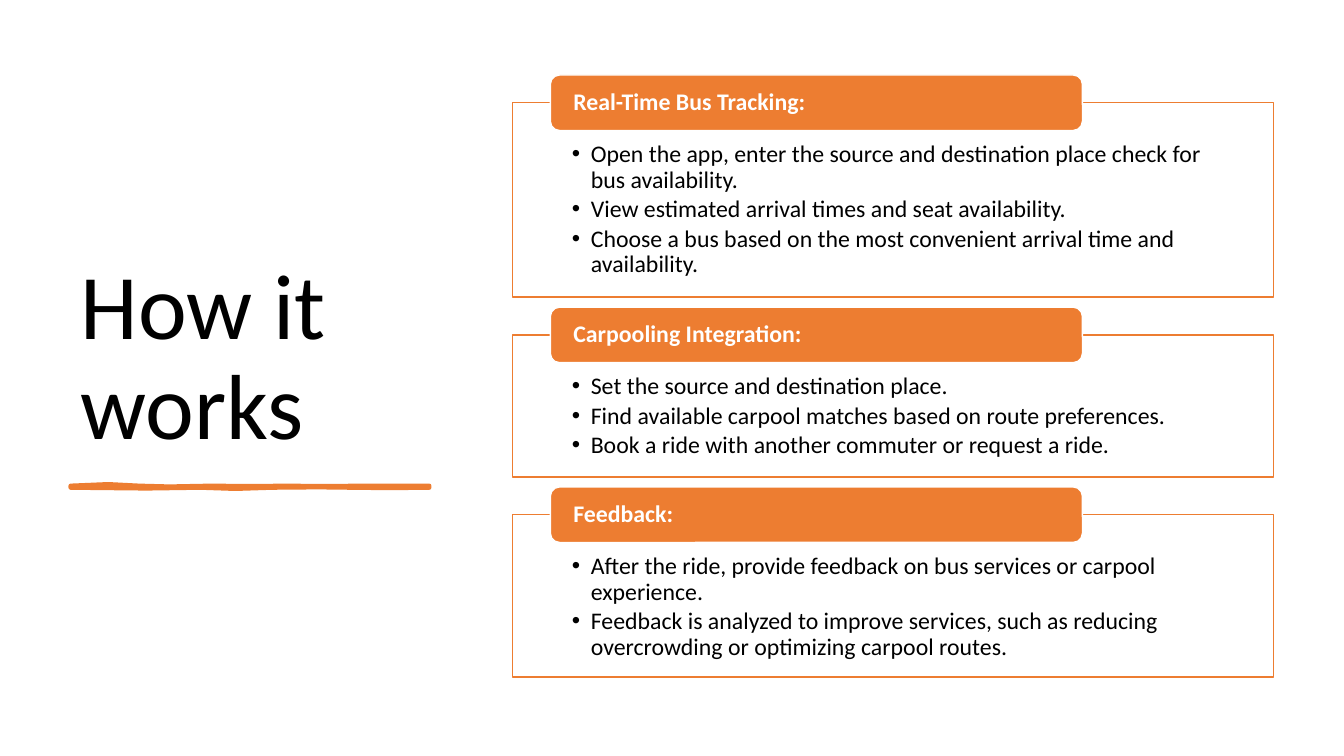
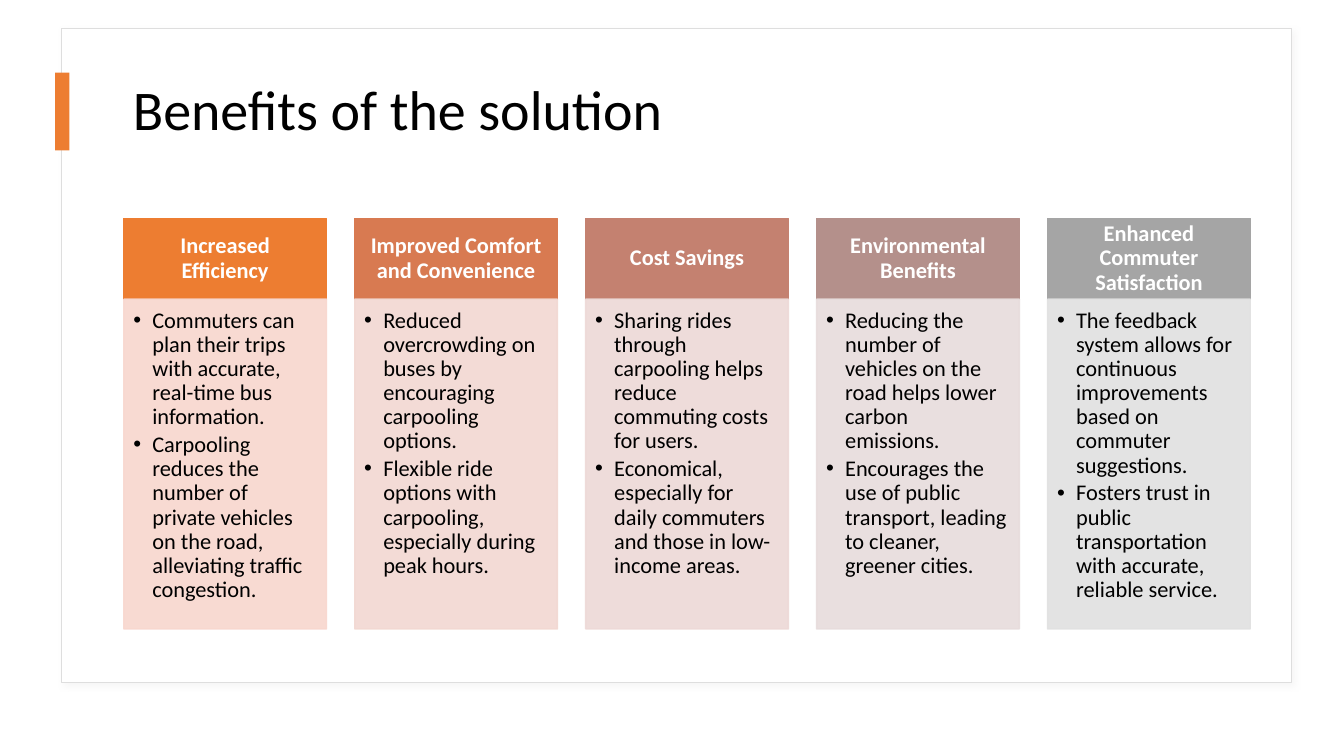
import pptx
import pptx.dml.color
import pptx.enum.shapes
import pptx.enum.text
import pptx.oxml
import pptx.oxml.ns
import pptx.util

Cm, Pt = pptx.util.Cm, pptx.util.Pt
SHAPE = pptx.enum.shapes.MSO_SHAPE
ANCHOR = pptx.enum.text.MSO_ANCHOR
ALIGN = pptx.enum.text.PP_ALIGN

FONT = "Calibri"
COLORS = {
    "accent": "ED7D31", "white": "FFFFFF", "text": "000000",
    "card line": "DEDEDE", "shadow": "C5C3C3",
}
TITLE = {"font": {"color": COLORS["text"]}}
HEADING = {"font": {"color": COLORS["white"], "bold": True}}
BULLETS = {"font": {"color": COLORS["text"]}, "space_after": Pt(2.7), "bullet": True}
BULLET_INDENT = Cm(0.48)
TINT_OPACITY = 90

HOW_TITLE = "How it works"
# heading, panel height in cm, bullets
STEPS = [
    ("Real-Time Bus Tracking:", 4.9, [
        "Open the app, enter the source and destination place check for bus availability.",
        "View estimated arrival times and seat availability.",
        "Choose a bus based on the most convenient arrival time and availability.",
    ]),
    ("Carpooling Integration:", 3.58, [
        "Set the source and destination place.",
        "Find available carpool matches based on route preferences.",
        "Book a ride with another commuter or request a ride.",
    ]),
    ("Feedback:", 4.09, [
        "After the ride, provide feedback on bus services or carpool experience.",
        "Feedback is analyzed to improve services, such as reducing overcrowding "
        "or optimizing carpool routes.",
    ]),
]

BENEFITS_TITLE = "Benefits of the solution"
# heading, heading colour, tint, bullets
BENEFITS = [
    ("Increased Efficiency", "ED7D31", "F8D7CE", [
        "Commuters can plan their trips with accurate, real-time bus information.",
        "Carpooling reduces the number of private vehicles on the road, "
        "alleviating traffic congestion.",
    ]),
    ("Improved Comfort and Convenience", "D87A51", "F2D8D2", [
        "Reduced overcrowding on buses by encouraging carpooling options.",
        "Flexible ride options with carpooling, especially during peak hours.",
    ]),
    ("Cost Savings", "C48170", "EDD9D7", [
        "Sharing rides through carpooling helps reduce commuting costs for users.",
        "Economical, especially for daily commuters and those in low-income areas.",
    ]),
    ("Environmental Benefits", "B4908B", "E7DCDC", [
        "Reducing the number of vehicles on the road helps lower carbon emissions.",
        "Encourages the use of public transport, leading to cleaner, greener cities.",
    ]),
    ("Enhanced Commuter Satisfaction", "A5A5A5", "E1E1E1", [
        "The feedback system allows for continuous improvements based on commuter suggestions.",
        "Fosters trust in public transportation with accurate, reliable service.",
    ]),
]

# Outline of the hand-drawn underline, in cm
BRUSH = [
    (1.78, 12.24), (2.73, 12.2), (3.51, 12.24), (4.27, 12.26), (5.31, 12.24),
    (6.33, 12.25), (7.21, 12.24), (8.2, 12.25), (9.12, 12.24), (10.82, 12.24),
    (10.82, 12.29), (9.81, 12.3), (8.84, 12.29), (8.02, 12.28), (6.86, 12.29),
    (5.93, 12.32), (5.05, 12.29), (3.69, 12.31), (1.78, 12.29),
]


def add_xml(parent, xml):
    namespaces = pptx.oxml.ns.nsdecls("a")
    parent.append(pptx.oxml.parse_xml(xml.replace(" ", f" {namespaces} ", 1)))


def paint(fill, color, opacity=100):
    """Give a fill one colour, or none."""
    if color is None:
        fill.background()
        return
    fill.solid()
    fill.fore_color.rgb = pptx.dml.color.RGBColor.from_string(color)
    if opacity < 100:
        for tone in fill._xPr.iter(pptx.oxml.ns.qn("a:srgbClr")):
            add_xml(tone, f'<a:alpha val="{opacity * 1000}"/>')


def style(shape, fill=None, line=None, width=1, opacity=100):
    shape.shadow.inherit = False
    paint(shape.fill, fill, opacity)
    paint(shape.line.fill, line, opacity)
    if line:
        shape.line.width = Pt(width)


def add_block(page, place, kind=SHAPE.RECTANGLE, **look):
    block = page.shapes.add_shape(kind, *map(Cm, place))
    style(block, **look)
    return block


def write(box, texts, size, look, anchor=ANCHOR.TOP, align=ALIGN.LEFT,
          insets=(0.25, 0.13, 0.25, 0.13)):
    """Fill a shape with paragraphs; insets are left, top, right, bottom in cm."""
    frame = box.text_frame
    settings = {"word_wrap": True, "vertical_anchor": anchor}
    sides = ("margin_left", "margin_top", "margin_right", "margin_bottom")
    settings.update(zip(sides, map(Cm, insets)))
    for name, value in settings.items():
        setattr(frame, name, value)

    for index, text in enumerate(texts):
        para = frame.add_paragraph() if index else frame.paragraphs[0]
        spacing = {"alignment": align, "line_spacing": 0.9,
                   "space_after": look.get("space_after", Pt(0))}
        for name, value in spacing.items():
            setattr(para, name, value)
        if look.get("bullet"):
            properties = para._p.get_or_add_pPr()
            properties.set("marL", str(BULLET_INDENT))
            properties.set("indent", str(-BULLET_INDENT))
            add_xml(properties, '<a:buFont typeface="Arial"/>')
            add_xml(properties, '<a:buChar char="•"/>')
        span = para.add_run()
        span.text = text
        letters = {"name": FONT, "size": Pt(size), "bold": look["font"].get("bold", False)}
        for name, value in letters.items():
            setattr(span.font, name, value)
        paint(span.font.fill, look["font"]["color"])


def add_title(page, text, place, size, anchor):
    box = page.shapes.add_textbox(*map(Cm, place))
    write(box, [text], size, TITLE, anchor)


def add_brush(page):
    points = [(Cm(x), Cm(y)) for x, y in BRUSH]
    builder = page.shapes.build_freeform(*points[0])
    builder.add_line_segments(points[1:], close=True)
    style(builder.convert_to_shape(), fill=COLORS["accent"], line=COLORS["accent"], width=3)


def build_how_it_works(page):
    add_title(page, HOW_TITLE, (1.78, 1.78, 9.93, 9.93), 66, ANCHOR.BOTTOM)
    add_brush(page)

    top, gap, tab_rise = 2.59, 0.95, 0.7
    for heading, height, bullets in STEPS:
        panel = add_block(page, (12.91, top, 19.18, height),
                          fill=COLORS["white"], line=COLORS["accent"])
        write(panel, bullets, 17, BULLETS, insets=(1.5, 0.99, 1.5, 0.33))
        tab = add_block(page, (13.87, top - tab_rise, 13.41, 2 * tab_rise),
                        SHAPE.ROUNDED_RECTANGLE,
                        fill=COLORS["accent"], line=COLORS["white"])
        write(tab, [heading], 17, HEADING, ANCHOR.MIDDLE, insets=(0.51, 0, 0.51, 0))
        top += height + gap


def build_benefits(page):
    card = add_block(page, (1.55, 0.72, 31.01, 16.48),
                     fill=COLORS["white"], line=COLORS["card line"], width=0.75)
    effects = card._element.spPr.find(pptx.oxml.ns.qn("a:effectLst"))
    add_xml(effects, f'<a:outerShdw blurRad="{Pt(4)}" dist="{Pt(3)}" dir="2700000">'
                     f'<a:srgbClr val="{COLORS["shadow"]}"><a:alpha val="15000"/>'
                     '</a:srgbClr></a:outerShdw>')
    add_title(page, BENEFITS_TITLE, (3.1, 1.42, 28.42, 2.82), 40, ANCHOR.MIDDLE)
    add_block(page, (1.39, 1.83, 0.36, 1.96), fill=COLORS["accent"])

    left, width, gap = 3.12, 5.11, 0.71
    head_top, head_height, body_height = 5.5, 2.04, 8.31
    for column, (heading, color, tint, bullets) in enumerate(BENEFITS):
        x = left + column * (width + gap)
        head = add_block(page, (x, head_top, width, head_height), fill=color, line=color)
        write(head, [heading], 16, HEADING, ANCHOR.MIDDLE, ALIGN.CENTER,
              (0.3, 0.18, 0.3, 0.18))
        body = add_block(page, (x, head_top + head_height, width, body_height),
                         fill=tint, line=tint, opacity=TINT_OPACITY)
        write(body, bullets, 16, BULLETS, insets=(0.24, 0.24, 0.32, 0.36))


def main():
    deck = pptx.Presentation()
    deck.slide_width, deck.slide_height = Cm(33.87), Cm(19.05)
    for build in (build_how_it_works, build_benefits):
        build(deck.slides.add_slide(deck.slide_layouts[6]))
    deck.save("out.pptx")


if __name__ == "__main__":
    main()
